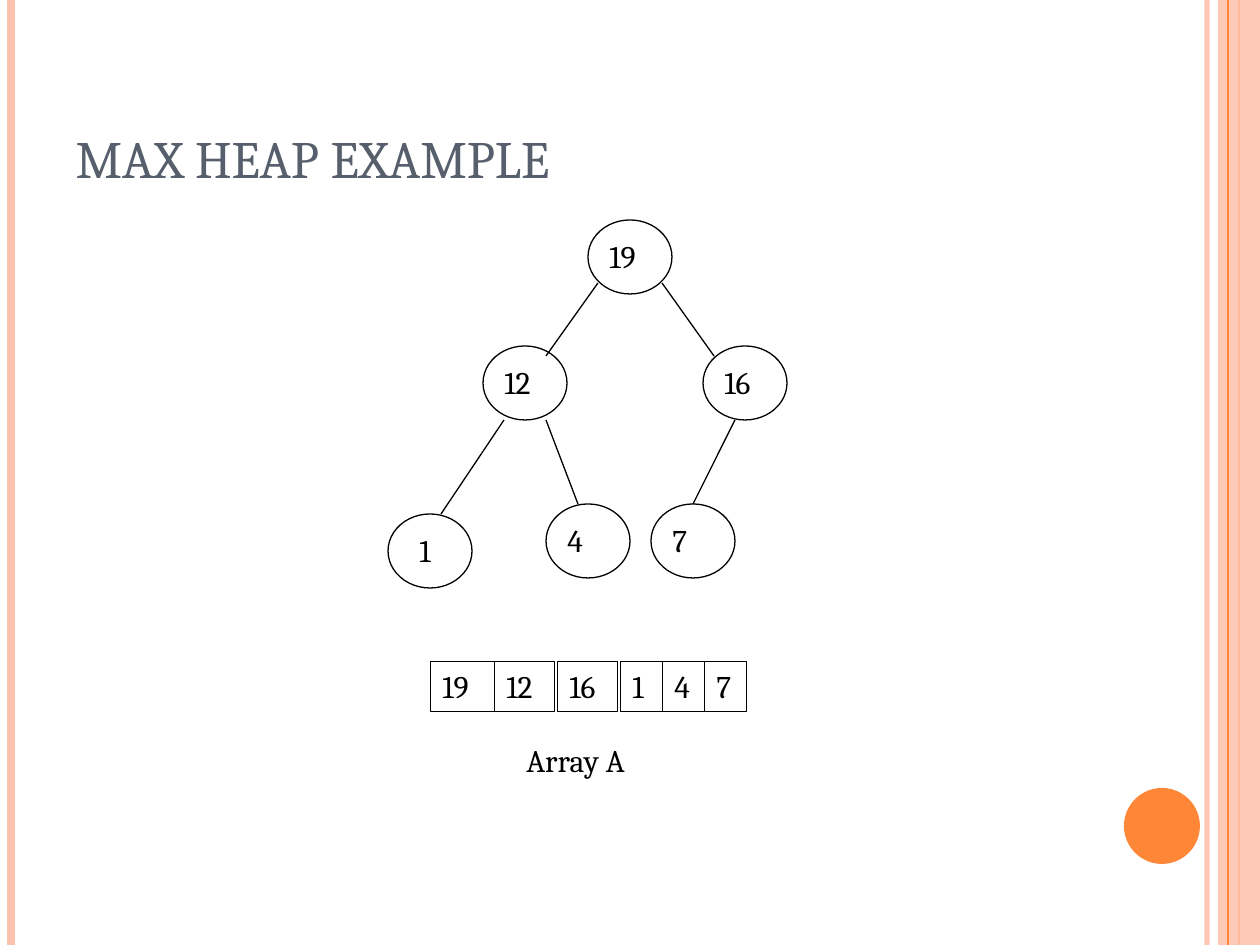
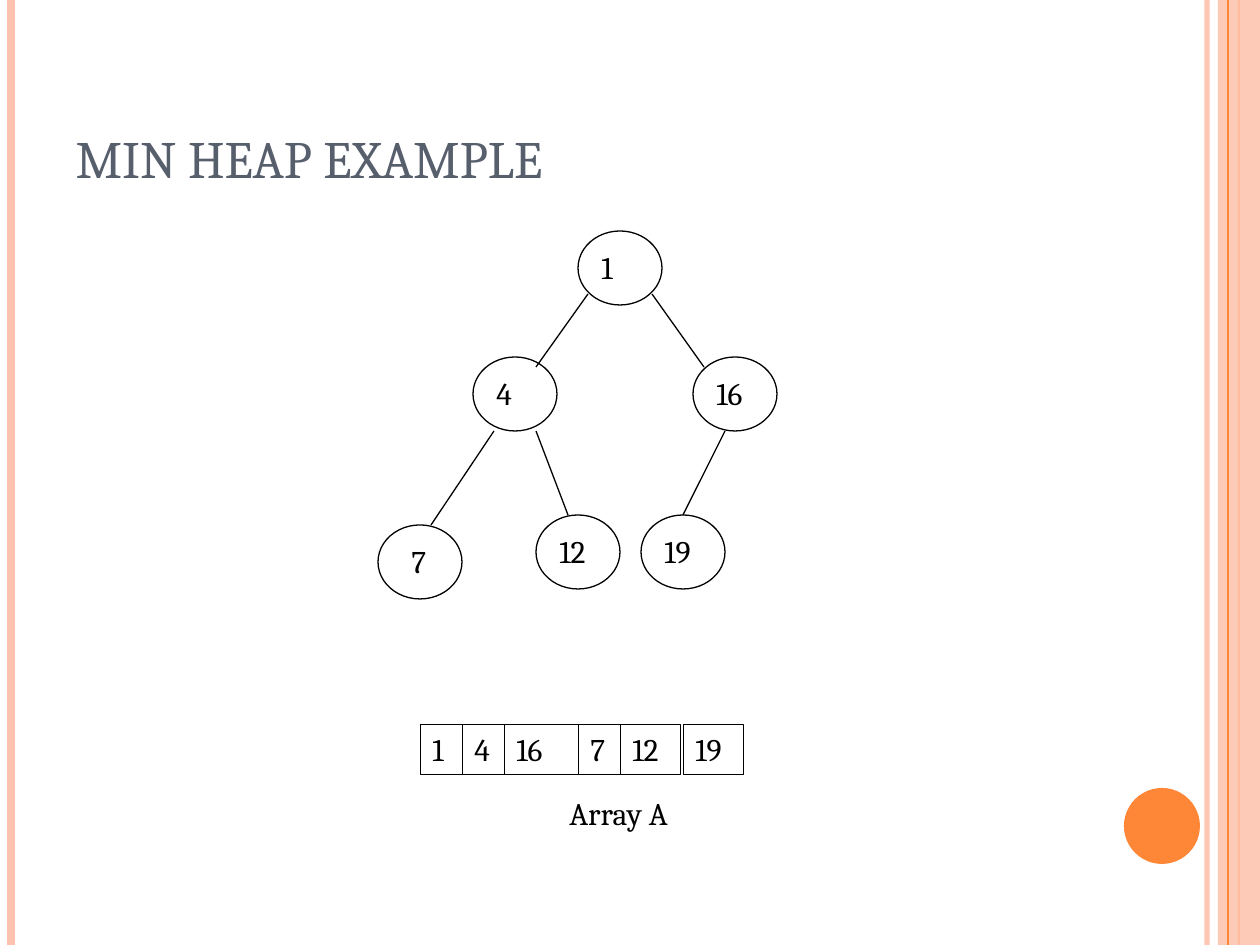
from dataclasses import dataclass

from lxml import etree
from pptx import Presentation
from pptx import util as u
from pptx.dml import color
from pptx.enum import shapes, text
from pptx.oxml import ns

EMU_PER_PX = 914400 / 126
SLIDE_WIDTH, SLIDE_HEIGHT = 1260, 945


@dataclass(frozen=True)
class Theme:
    font: str = "Cambria"
    ink: str = "000000"
    title: str = "575F6D"
    peach: str = "FEC3AE"
    orange: str = "FE8637"
    title_size: int = 30
    body_size: int = 18
    cell_line: float = 0.25
    tree_line: float = 0.75


THEME = Theme()

NODE_WIDTH, NODE_HEIGHT = 84, 74
NODE_OFFSETS = [(0, 0), (-105, 126), (115, 126), (-200, 294), (-42, 284), (63, 284)]
EDGES = [
    (10, 63, -42, 136),
    (-84, 200, -147, 294),
    (-42, 200, -10, 284),
    (74, 63, 126, 136),
    (147, 200, 105, 284),
]
FIRST_LEAF = 3
TEXT_HEIGHT = 50
TEXT_WIDTHS = {1: 42, 2: 60}
CELL_STEPS = {1: 42, 2: 63}

HEAPS = [
    {
        "title": "MAX HEAP EXAMPLE",
        "values": ["19", "12", "16", "1", "4", "7"],
        "root": (588, 220),
        "label_inset": 9,
        "cells": (430, 661),
        "wide_cells": {"19": 64},
        "caption": (514, 735, 189),
    },
    {
        "title": "MIN HEAP EXAMPLE",
        "values": ["1", "4", "16", "7", "12", "19"],
        "root": (578, 231),
        "label_inset": 11,
        "cells": (420, 724),
        "wide_cells": {"16": 74},
        "caption": (557, 788, 179),
    },
]


def px(*lengths):
    return [u.Emu(round(length * EMU_PER_PX)) for length in lengths]


def set_formats(target, formats):
    for name, value in formats.items():
        setattr(target, name, value)


def set_alpha(shape, percent):
    for paint in shape.element.spPr.iter(ns.qn("a:srgbClr")):
        etree.SubElement(paint, ns.qn("a:alpha"), val=str(percent * 1000))


def set_line(line, rgb, width):
    line.color.rgb = color.RGBColor.from_string(rgb)
    line.width = u.Pt(width)


def write_text(shape, content, size, rgb, frame_formats):
    frame = shape.text_frame
    frame.text = content
    set_formats(frame, frame_formats)
    paragraph = frame.paragraphs[0]
    paragraph.alignment = text.PP_ALIGN.LEFT
    set_formats(paragraph.font, {"name": THEME.font, "size": u.Pt(size)})
    paragraph.font.color.rgb = color.RGBColor.from_string(rgb)


def write_body(shape, content, wrap=False):
    write_text(shape, content, THEME.body_size, THEME.ink, {
        "word_wrap": wrap,
        "auto_size": text.MSO_AUTO_SIZE.SHAPE_TO_FIT_TEXT,
        "vertical_anchor": text.MSO_ANCHOR.TOP,
    })


def add_line(slide, start_x, start_y, end_x, end_y, rgb, width):
    line = slide.shapes.add_connector(
        shapes.MSO_CONNECTOR.STRAIGHT, *px(start_x, start_y, end_x, end_y))
    set_line(line.line, rgb, width)
    etree.SubElement(line.element.spPr, ns.qn("a:effectLst"))
    return line


def add_solid(slide, kind, box, rgb):
    shape = slide.shapes.add_shape(kind, *px(*box))
    shape.shadow.inherit = False
    shape.fill.solid()
    shape.fill.fore_color.rgb = color.RGBColor.from_string(rgb)
    shape.line.fill.background()
    return shape


def add_outline(slide, kind, box, width):
    shape = slide.shapes.add_shape(kind, *px(*box))
    shape.shadow.inherit = False
    shape.fill.background()
    set_line(shape.line, THEME.ink, width)
    return shape


def add_rule(slide, x, rgb, width):
    return add_line(slide, x, 0, x, SLIDE_HEIGHT, rgb, width)


def decorate_layout(layout, slide):
    inner_rule = add_rule(slide, 1207, THEME.peach, 3)
    set_alpha(inner_rule, 93)
    left_rule = add_rule(slide, 11, THEME.peach, 4.5)
    band_edge = add_rule(slide, 1239, THEME.orange, 1.5)
    band = add_solid(slide, shapes.MSO_SHAPE.RECTANGLE,
                     (1218, 0, 42, SLIDE_HEIGHT), THEME.peach)
    set_alpha(band, 87)
    band_rule = add_rule(slide, 1228, THEME.orange, 0.75)
    disc = add_solid(slide, shapes.MSO_SHAPE.OVAL, (1124, 788, 76, 76), THEME.orange)
    decorations = [inner_rule, left_rule, band_edge, band, band_rule, disc]
    for index, shape in enumerate(decorations):
        shape.element.xpath(".//p:cNvPr")[0].set("id", str(100 + index))
        layout.shapes.element.insert(2 + index, shape.element)


def add_title(slide, content):
    title = slide.shapes.title
    left, top, width, height = px(63, 38, 1029, 157)
    set_formats(title, {"left": left, "top": top, "width": width, "height": height})
    write_text(title, content, THEME.title_size, THEME.title, {
        "word_wrap": True,
        "auto_size": text.MSO_AUTO_SIZE.NONE,
        "vertical_anchor": text.MSO_ANCHOR.BOTTOM,
    })


def add_label(slide, left, top, width, content, wrap=False):
    label = slide.shapes.add_textbox(*px(left, top, width, TEXT_HEIGHT))
    write_body(label, content, wrap)


def add_array(slide, values, origin, wide_cells):
    left, top = origin
    for value in values:
        digits = len(value)
        width = wide_cells.get(value, TEXT_WIDTHS[digits])
        cell = add_outline(slide, shapes.MSO_SHAPE.RECTANGLE,
                           (left, top, width, TEXT_HEIGHT), THEME.cell_line)
        write_body(cell, value, wrap=value in wide_cells)
        left += max(width, CELL_STEPS[digits])


def add_tree(slide, values, root, label_inset):
    root_x, root_y = root
    for index, (value, (dx, dy)) in enumerate(zip(values, NODE_OFFSETS)):
        left, top = root_x + dx, root_y + dy
        add_outline(slide, shapes.MSO_SHAPE.OVAL,
                    (left, top, NODE_WIDTH, NODE_HEIGHT), THEME.tree_line)
        inset = label_inset + (10 if index == FIRST_LEAF else 0)
        add_label(slide, left + inset, top + 11, TEXT_WIDTHS[len(value)], value)
    for start_x, start_y, end_x, end_y in EDGES:
        add_line(slide, root_x + start_x, root_y + start_y,
                 root_x + end_x, root_y + end_y, THEME.ink, THEME.tree_line)


def add_heap_slide(presentation, layout, heap):
    slide = presentation.slides.add_slide(layout)
    add_title(slide, heap["title"])
    add_array(slide, heap["values"], heap["cells"], heap["wide_cells"])
    add_label(slide, *heap["caption"], "Array A", wrap=True)
    add_tree(slide, heap["values"], heap["root"], heap["label_inset"])
    return slide


def main():
    presentation = Presentation()
    width, height = px(SLIDE_WIDTH, SLIDE_HEIGHT)
    set_formats(presentation, {"slide_width": width, "slide_height": height})
    layout = presentation.slide_layouts.get_by_name("Title Only")
    slides = [add_heap_slide(presentation, layout, heap) for heap in HEAPS]
    decorate_layout(layout, slides[0])
    presentation.save("out.pptx")


if __name__ == "__main__":
    main()
